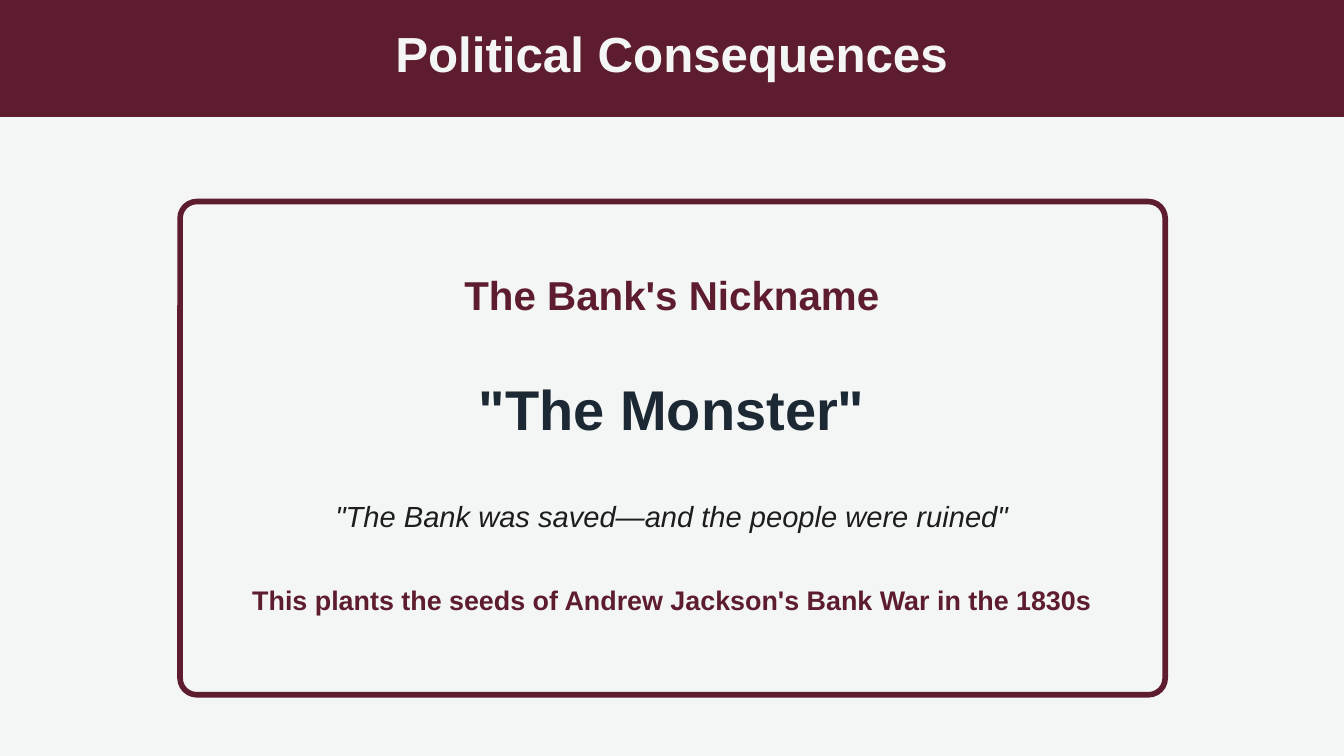
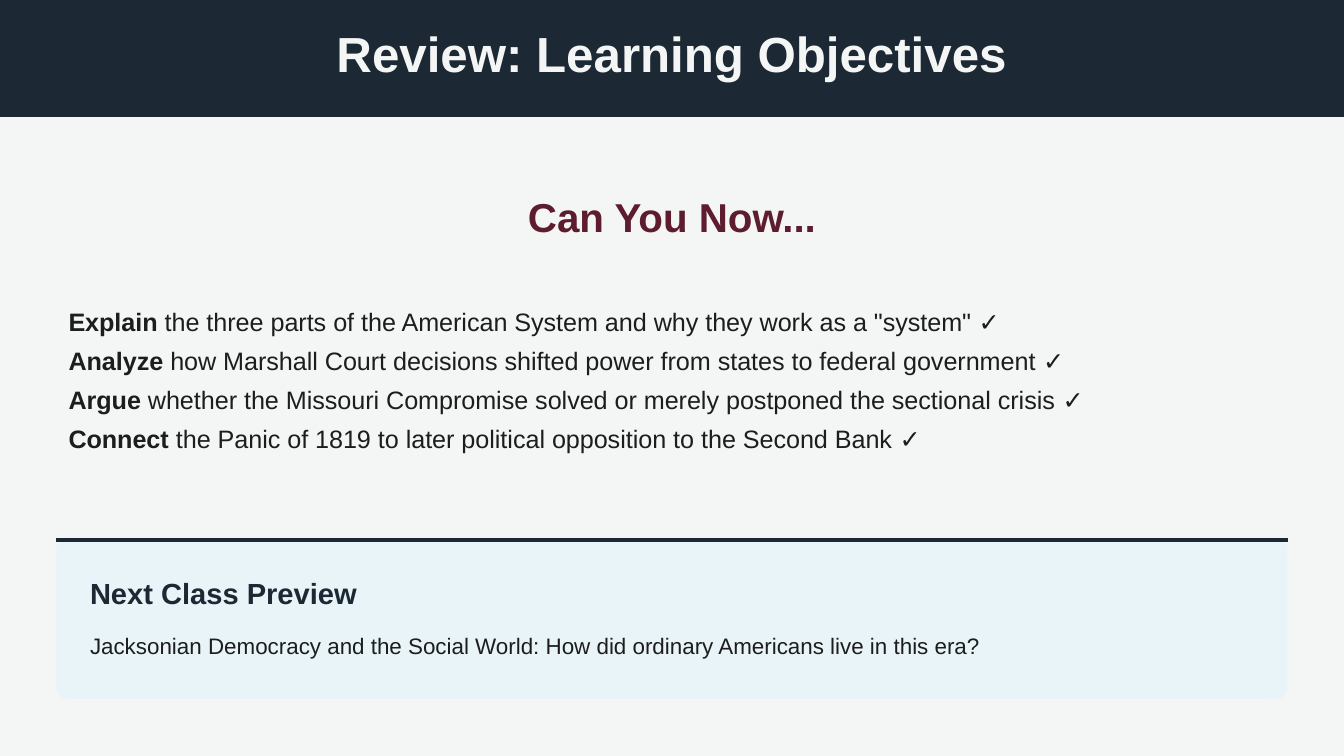
from pptx import Presentation
from pptx.dml.color import RGBColor
from pptx.enum.shapes import MSO_CONNECTOR as Connector, MSO_SHAPE as Shape
from pptx.enum.text import MSO_ANCHOR as Anchor, PP_ALIGN as Align
from pptx.oxml.ns import qn
from pptx.util import Inches, Pt
from lxml import etree

# Shared style
FONT = "Arial"
WINE, NAVY, INK = "5D1D2E", "1C2833", "1D1D1D"
PAPER, SKY = "F4F6F6", "E8F4F8"
PAGE_WIDTH = 10
MARGIN = 0.42

# Content: text, top, height, size, colour, bold, italic, line spacing, space before, space after
NICKNAME_TITLE = "Political Consequences"
NICKNAME_LINES = [
    ("The Bank's Nickname", 2.04, 0.33, 21.6, WINE, True, False, 24, 0, 24),
    ('"The Monster"', 2.7, 0.58, 30, NAVY, True, False, 42, 3, 24),
    ('"The Bank was saved—and the people were ruined"',
     3.62, 0.35, 15.6, INK, False, True, 25, 3, 24),
    ("This plants the seeds of Andrew Jackson's Bank War in the 1830s",
     4.3, 0.28, 14.4, WINE, True, False, 20.2, 3, 3),
]

REVIEW_TITLE = "Review: Learning Objectives"
REVIEW_QUESTION = ("Can You Now...", 1.46, 0.33, 21.6, WINE, True, False, 24, 0, 18)
OBJECTIVES = [
    ("Explain", 'the three parts of the American System and why they work as a "system"'),
    ("Analyze", "how Marshall Court decisions shifted power from states to federal government"),
    ("Argue", "whether the Missouri Compromise solved or merely postponed the sectional crisis"),
    ("Connect", "the Panic of 1819 to later political opposition to the Second Bank"),
]
PREVIEW_LINES = [
    ("Next Class Preview", 4.28, 0.26, 15.6, NAVY, True, False, 18.7, 0, 9.6),
    ("Jacksonian Democracy and the Social World: How did ordinary Americans live in this era?",
     4.67, 0.23, 12, INK, False, False, 16.8, 3, 3),
]


def color(value):
    return RGBColor.from_string(value)


def add_panel(page, kind, left, top, width, height, fill, line=None, radius=None):
    panel = page.shapes.add_shape(
        kind, Inches(left), Inches(top), Inches(width), Inches(height))
    panel.shadow.inherit = False
    panel.fill.solid()
    panel.fill.fore_color.rgb = color(fill)
    if line:
        panel.line.color.rgb = color(line)
        panel.line.width = Pt(3)
    else:
        panel.line.fill.background()
    if radius is not None:
        panel.adjustments[0] = radius
    return panel


def add_frame(page, left, top, width, height):
    box = page.shapes.add_textbox(Inches(left), Inches(top), Inches(width), Inches(height))
    frame = box.text_frame
    frame.word_wrap = True
    frame.vertical_anchor = Anchor.TOP
    frame.margin_left = frame.margin_top = frame.margin_right = frame.margin_bottom = 0
    return frame


def style_span(span, size, ink, bold=False, italic=False):
    span.font.name = FONT
    span.font.size = Pt(size)
    span.font.color.rgb = color(ink)
    span.font.bold = bold
    span.font.italic = italic


def add_line(page, line, left, width, align=Align.LEFT):
    text, top, height, size, ink, bold, italic, spacing, before, after = line
    para = add_frame(page, left, top, width, height).paragraphs[0]
    para.text = text
    para.alignment = align
    para.line_spacing = Pt(spacing)
    para.space_before, para.space_after = Pt(before), Pt(after)
    style_span(para.runs[0], size, ink, bold, italic)


def add_centered(page, line, width):
    add_line(page, line, (PAGE_WIDTH - width) / 2, width, Align.CENTER)


def add_page(deck, title, band):
    page = deck.slides.add_slide(deck.slide_layouts[6])
    page.background.fill.solid()
    page.background.fill.fore_color.rgb = color(PAPER)
    add_panel(page, Shape.RECTANGLE, 0, 0, PAGE_WIDTH, 0.87, band)
    add_centered(page, (title, 0.25, 0.37, 26.4, PAPER, True, False, 26.4, 0, 0), 5.1)
    return page


def add_rule(page, left, right, top, ink):
    rule = page.shapes.add_connector(
        Connector.STRAIGHT, Inches(left), Inches(top), Inches(right), Inches(top))
    rule.line.color.rgb = color(ink)
    rule.line.width = Pt(2.25)
    etree.SubElement(rule._element.spPr, qn("a:effectLst"))


def build_nickname(deck):
    page = add_page(deck, NICKNAME_TITLE, WINE)
    add_panel(page, Shape.ROUNDED_RECTANGLE, 1.34, 1.5, 7.33, 3.67, PAPER, WINE, 0.034)
    for line in NICKNAME_LINES:
        add_centered(page, line, 6.37)


def build_review(deck):
    page = add_page(deck, REVIEW_TITLE, NAVY)
    add_centered(page, REVIEW_QUESTION, 2.19)

    # Objectives, each with a bold verb and a tick
    width = PAGE_WIDTH - 2 * MARGIN
    frame = add_frame(page, MARGIN, 2.21, width, 1.29)
    frame.margin_left = Inches(0.09)
    frame.text = "\n".join(verb for verb, _ in OBJECTIVES)
    for para, (_, goal) in zip(frame.paragraphs, OBJECTIVES):
        para.line_spacing = Pt(21)
        style_span(para.runs[0], 13.5, INK, bold=True)
        span = para.add_run()
        span.text = f" {goal} ✓"
        style_span(span, 13.5, INK)

    # Preview of the next class
    add_panel(page, Shape.ROUNDED_RECTANGLE, MARGIN, 4, width, 1.2, SKY, radius=0.069)
    add_rule(page, MARGIN, PAGE_WIDTH - MARGIN, 4.02, NAVY)
    for line in PREVIEW_LINES:
        add_line(page, line, 0.67, 8.84)


def main():
    deck = Presentation()
    deck.slide_width = Inches(PAGE_WIDTH)
    deck.slide_height = Inches(PAGE_WIDTH * 9 / 16)
    build_nickname(deck)
    build_review(deck)
    deck.save("out.pptx")


if __name__ == "__main__":
    main()
